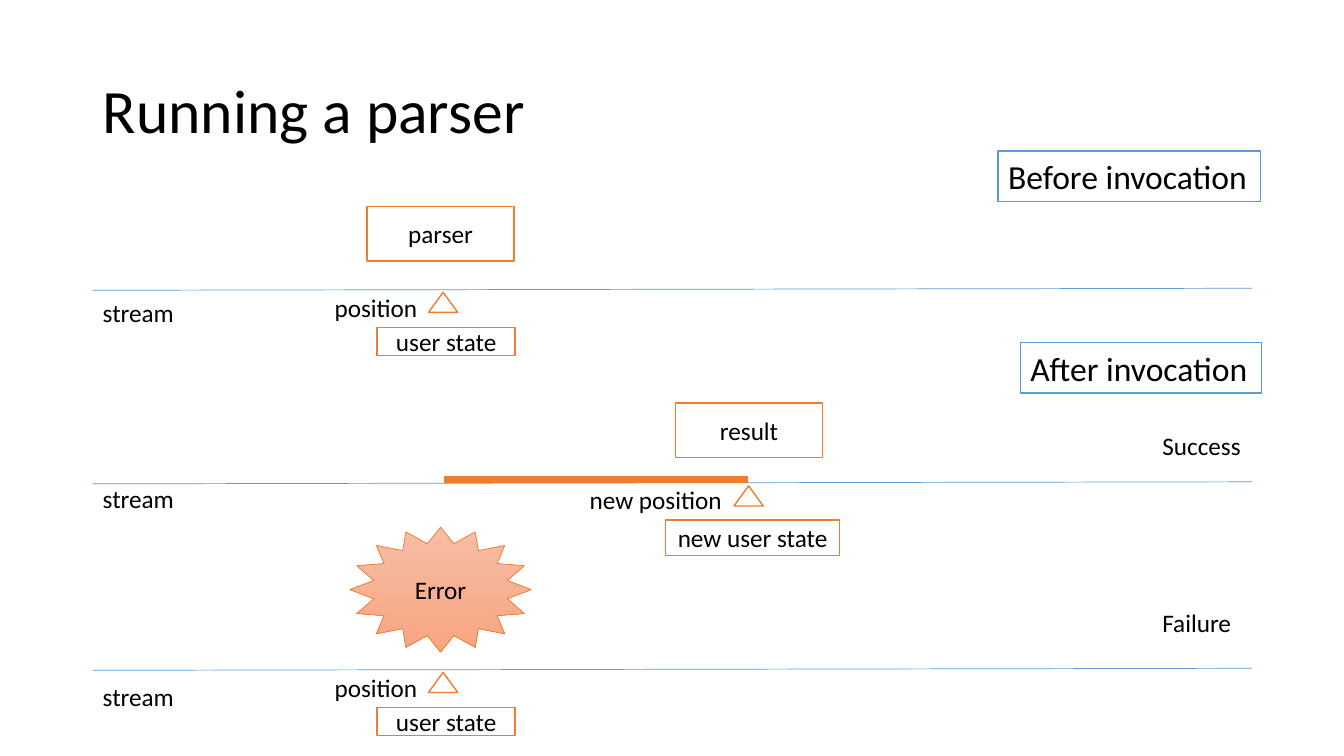
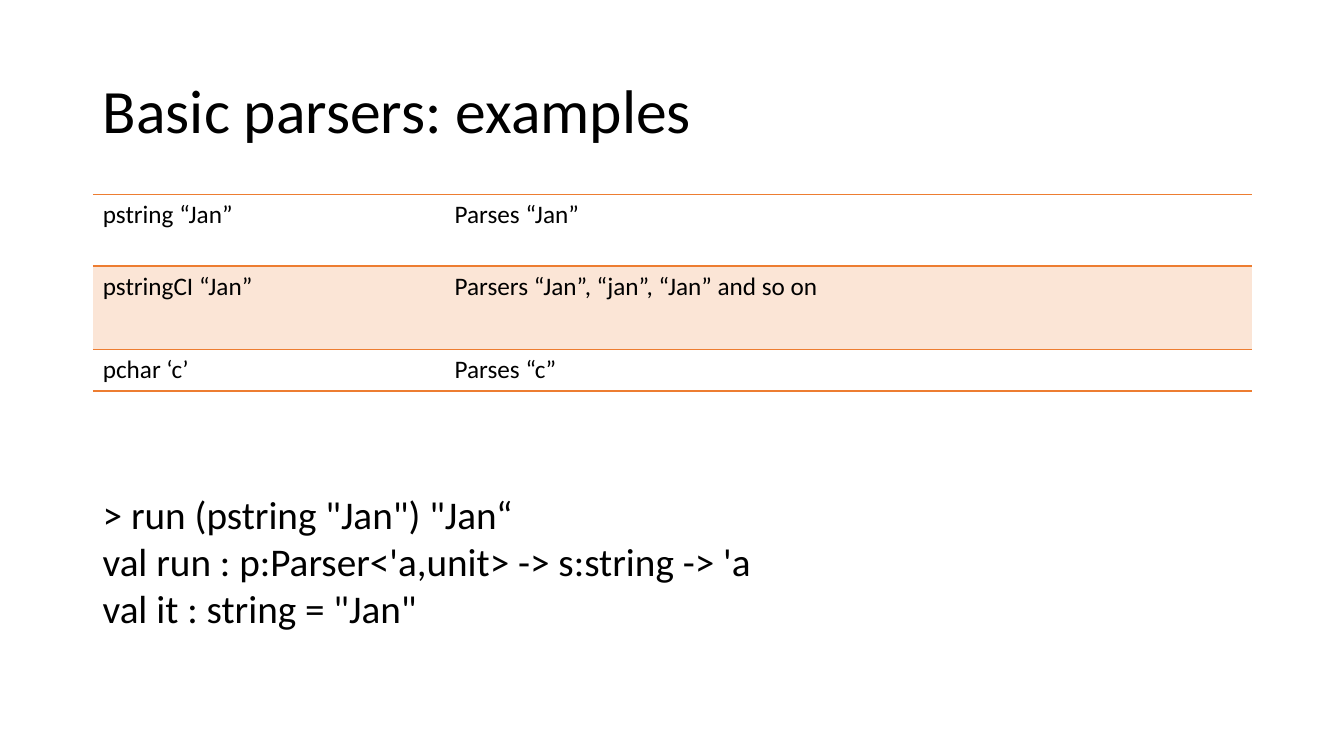
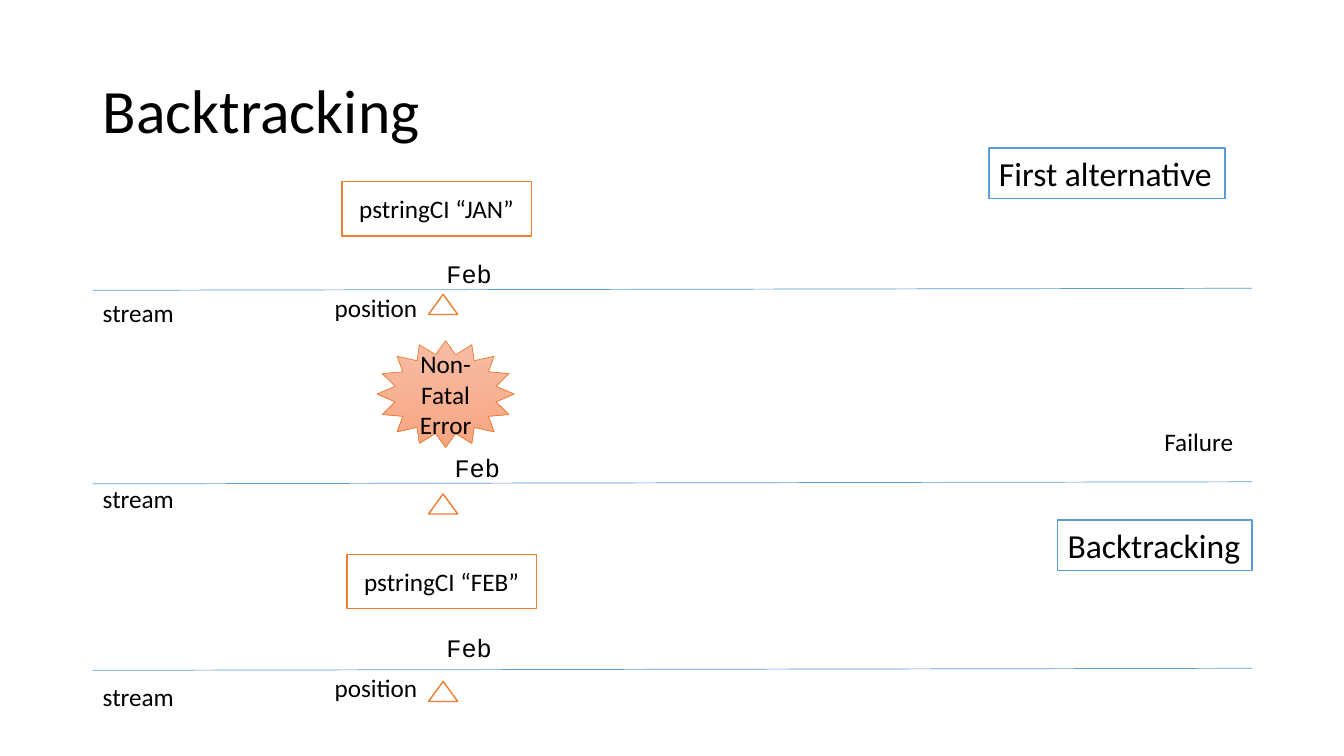
from lxml.etree import SubElement
from pptx import Presentation
from pptx.dml.color import RGBColor
from pptx.enum.shapes import MSO_CONNECTOR as Connector, MSO_SHAPE as Shape
from pptx.enum.text import MSO_ANCHOR as Anchor, MSO_AUTO_SIZE as AutoSize, PP_ALIGN as Align
from pptx.oxml import parse_xml
from pptx.oxml.ns import nsdecls, qn
from pptx.util import Inches, Pt

COLORS = {
    "text": "000000",
    "paper": "FFFFFF",
    "blue": "5B9BD5",
    "orange": "ED7D31",
    "band": "FBE5D6",
    "burst_top": "F7BDA5",
    "burst_bottom": "F8A582",
}
FONT, MONO = "Calibri", "Courier New"
PLAIN_TABLE = "{2D5ABB26-0587-4C30-8999-92F81FD0307C}"
LEFT, WIDTH = 0.92, 11.5
STREAMS = [(2.88, 2.9), (4.8, 4.75), (6.65, 6.71)]  # line height, label top


def color(name):
    """Return a palette colour."""
    return RGBColor.from_string(COLORS[name])


def inches(*values):
    """Convert several numbers to lengths."""
    return [Inches(value) for value in values]


def write(frame, text, size=18, font=FONT, align=Align.LEFT, anchor=Anchor.TOP):
    """Fill a text frame and format all of its runs."""
    frame.text = text
    frame.vertical_anchor = anchor
    for para in frame.paragraphs:
        para.alignment = align
        for span in para.runs:
            span.font.size = Pt(size)
            span.font.name = font
            span.font.color.rgb = color("text")


def add_page(deck, title):
    """Add a title-only slide with the shared title style."""
    page = deck.slides.add_slide(deck.slide_layouts[5])
    box = page.shapes.title
    box.left, box.top, box.width, box.height = inches(LEFT, 0.4, WIDTH, 1.45)
    write(box.text_frame, title, 44, anchor=Anchor.MIDDLE)
    box.text_frame.auto_size = AutoSize.NONE
    box.text_frame.paragraphs[0].line_spacing = 0.9
    return page


def add_line(page, start, end, line_color, weight):
    """Draw a straight line without a shadow."""
    line = page.shapes.add_connector(Connector.STRAIGHT, *inches(*start, *end))
    line.line.color.rgb = color(line_color)
    line.line.width = Pt(weight)
    SubElement(line._element.spPr, qn("a:effectLst"))


def add_label(page, left, top, width, text, height=0.4, size=18, font=FONT, wrap=False):
    """Add a text box that grows with its text."""
    frame = page.shapes.add_textbox(*inches(left, top, width, height)).text_frame
    frame.word_wrap = wrap
    frame.auto_size = AutoSize.SHAPE_TO_FIT_TEXT
    write(frame, text, size, font)


def add_outline(page, kind, left, top, width, height, line_color="orange", weight=1):
    """Add a white outlined shape."""
    shape = page.shapes.add_shape(kind, *inches(left, top, width, height))
    shape.shadow.inherit = False
    shape.fill.solid()
    shape.fill.fore_color.rgb = color("paper")
    shape.line.color.rgb = color(line_color)
    shape.line.width = Pt(weight)
    return shape


def add_box(page, left, top, width, text, height=0.54):
    """Add an orange box with centred text."""
    box = add_outline(page, Shape.RECTANGLE, left, top, width, height)
    write(box.text_frame, text, align=Align.CENTER, anchor=Anchor.MIDDLE)


def add_phase(page, left, top, width, text):
    """Add a blue box that names a phase."""
    box = add_outline(page, Shape.RECTANGLE, left, top, width, 0.5, "blue")
    box.text_frame.word_wrap = False
    box.text_frame.auto_size = AutoSize.SHAPE_TO_FIT_TEXT
    write(box.text_frame, text, 24)


def add_burst(page, left, top, width, height, text):
    """Add a shaded star that reports an error."""
    star = add_outline(page, Shape.STAR_16_POINT, left, top, width, height, weight=0.5)
    star.fill.gradient()
    star.fill.gradient_angle = 270
    for stop, name in zip(star.fill.gradient_stops, ("burst_top", "burst_bottom")):
        stop.color.rgb = color(name)
    write(star.text_frame, text, align=Align.CENTER, anchor=Anchor.MIDDLE)


def add_marker(page, top, left=4.25):
    """Add the triangle that marks a stream position."""
    add_outline(page, Shape.ISOSCELES_TRIANGLE, left, top, 0.29, 0.2)


def add_streams(page):
    """Draw the three labelled streams, slightly rising to the right."""
    for line_top, label_top in STREAMS:
        add_line(page, (LEFT, line_top), (LEFT + WIDTH, line_top - 0.02), "blue", 0.5)
        add_label(page, LEFT, label_top, 0.91, "stream")
    for top in (2.85, 6.62):
        add_label(page, 3.22, top, 1.03, "position")


def set_borders(cell, sides):
    """Draw orange borders on the given sides of a cell, listed top first."""
    properties = cell._tc.get_or_add_tcPr()
    for index, side in enumerate(sides):
        properties.insert(index, parse_xml(
            f'<a:ln{side} {nsdecls("a")} w="12700"><a:solidFill>'
            f'<a:srgbClr val="{COLORS["orange"]}"/></a:solidFill></a:ln{side}>'))


def add_examples(page, rows):
    """Add the table of parsers; a row is height, fill, borders, texts."""
    height = sum(row[0] for row in rows)
    table = page.shapes.add_table(len(rows), 2, *inches(LEFT, 1.93, WIDTH, height)).table
    table.first_row = table.horz_banding = False
    table._tbl.tblPr.find(qn("a:tableStyleId")).text = PLAIN_TABLE
    for column, width in zip(table.columns, inches(3.49, 8.01)):
        column.width = width
    for row, (row_height, fill, sides, texts) in zip(table.rows, rows):
        row.height = Inches(row_height)
        for cell, text in zip(row.cells, texts):
            write(cell.text_frame, text)
            if fill:
                cell.fill.solid()
                cell.fill.fore_color.rgb = color(fill)
            else:
                cell.fill.background()
            set_borders(cell, sides)


def build_running(deck):
    """Show the stream before and after a parser runs."""
    page = add_page(deck, "Running a parser")
    add_streams(page)
    add_phase(page, 9.9, 1.5, 2.6, "Before invocation")
    add_phase(page, 10.12, 3.4, 2.39, "After invocation")
    add_box(page, 3.64, 2.05, 1.46, "parser")
    for top in (2.9, 6.67):
        add_marker(page, top)
        add_box(page, 3.74, top + 0.35, 1.37, "user state", 0.28)
    add_box(page, 6.7, 4, 1.46, "result")
    add_marker(page, 4.82, 7.28)
    add_label(page, 5.75, 4.76, 1.53, "new position")
    add_box(page, 6.6, 5.16, 1.73, "new user state", 0.35)
    add_line(page, (4.4, 4.76), (7.42, 4.76), "orange", 5)
    add_burst(page, 3.47, 5.23, 1.8, 1.24, "Error")
    add_label(page, 11.43, 4.22, 0.99, "Success")
    add_label(page, 11.43, 5.98, 0.89, "Failure")


def build_examples(deck):
    """List basic parsers and a sample session."""
    page = add_page(deck, "Basic parsers: examples")
    add_examples(page, [
        (0.71, None, "TB", ("pstring “Jan”", "Parses “Jan”")),
        (0.83, "band", "T", ("pstringCI “Jan”", "Parsers “Jan”, “jan”, “Jan” and so on")),
        (0.41, None, "B", ("pchar ‘c’", "Parses “c”")),
    ])
    session = [
        '> run (pstring "Jan") "Jan“',
        "val run : p:Parser<'a,unit> -> s:string -> 'a",
        'val it : string = "Jan"',
    ]
    add_label(page, LEFT, 4.81, WIDTH, "\n".join(session), 1.51, 28, wrap=True)


def build_backtracking(deck):
    """Show how a second alternative is tried after a failure."""
    page = add_page(deck, "Backtracking")
    add_streams(page)
    add_phase(page, 9.81, 1.47, 2.34, "First alternative")
    add_phase(page, 10.49, 5.16, 1.93, "Backtracking")
    add_box(page, 3.39, 1.8, 1.88, "pstringCI “JAN”")
    add_box(page, 3.44, 5.5, 1.88, "pstringCI “FEB”")
    for top in (2.92, 4.9, 6.76):
        add_marker(page, top)
    for left, top in ((4.33, 2.51), (4.41, 4.44), (4.33, 6.22)):
        add_label(page, left, top, 0.85, "Feb", font=MONO, wrap=True)
    add_burst(page, 3.74, 3.38, 1.36, 1.06, "Non-Fatal Error")
    add_label(page, 11.45, 4.18, 0.89, "Failure")


def main():
    """Build and save the deck."""
    deck = Presentation()
    deck.slide_width, deck.slide_height = inches(13.33, 7.5)
    build_running(deck)
    build_examples(deck)
    build_backtracking(deck)
    deck.save("out.pptx")


main()
